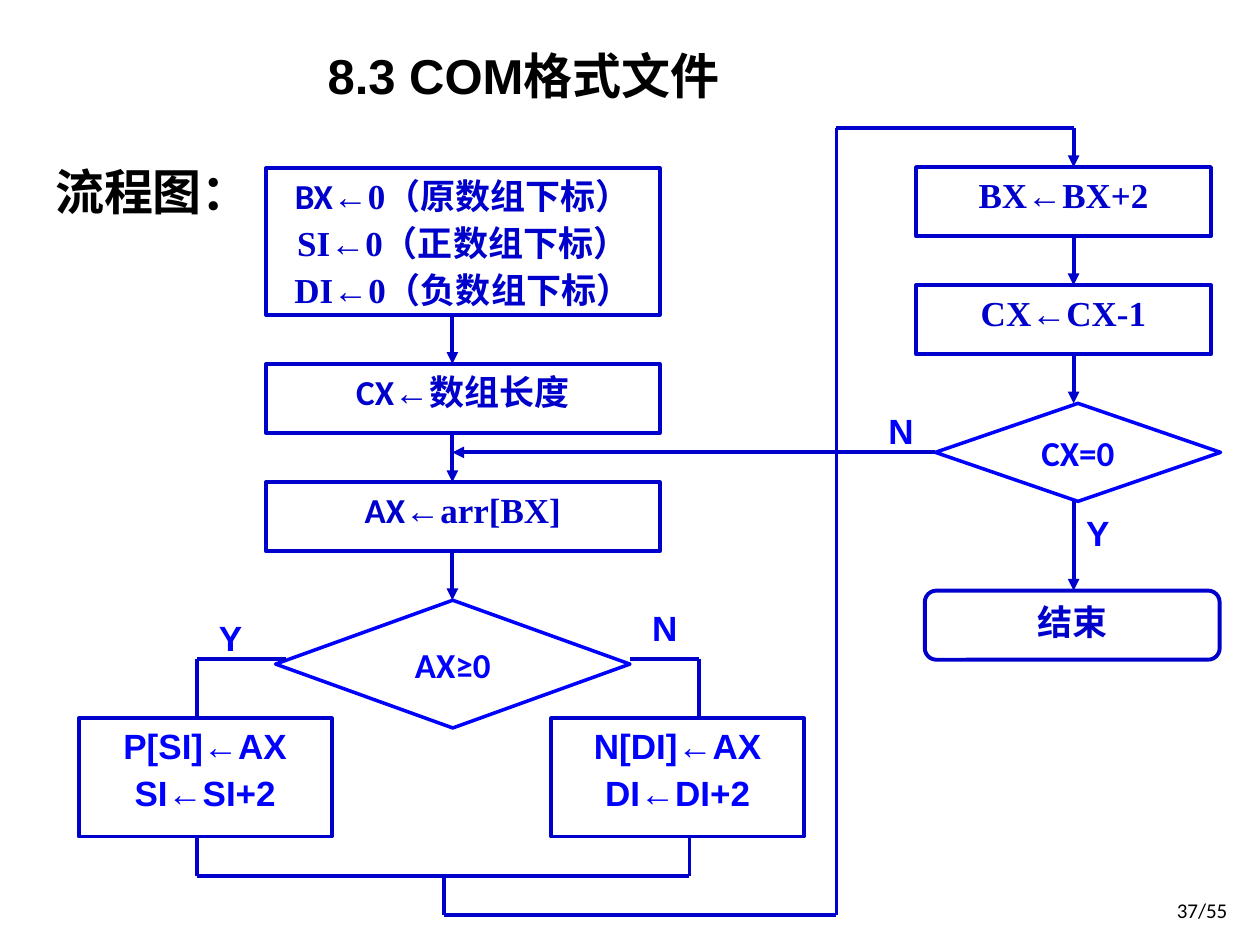
from dataclasses import dataclass
from itertools import pairwise

from lxml.etree import SubElement
from pptx import Presentation
from pptx.dml.color import RGBColor
from pptx.enum.shapes import MSO_CONNECTOR, MSO_SHAPE
from pptx.enum.text import MSO_ANCHOR, PP_ALIGN
from pptx.oxml.ns import qn
from pptx.util import Pt

ARIAL, CALIBRI, TIMES = "Arial", "Calibri", "Times New Roman"
NAVY, BLUE, BLACK, WHITE = "0000CC", "0000FF", "000000", "FFFFFF"

# Flow axes and shared sizes
MAIN_X, RIGHT_X, BUS_X = 258.5, 613.5, 478
YES_X, NO_X, MERGE_X = 112.5, 394, 253.5
BRANCH_Y, BRANCH_BOX_Y, BRANCH_END_Y = 376.5, 410.5, 478
STEP_HEIGHT = 39.5
MAIN_LEFT, MAIN_WIDTH = 152, 225
RIGHT_LEFT, RIGHT_WIDTH = 523.5, 168.5


@dataclass
class Node:
    left: float
    top: float
    width: float
    height: float
    lines: list[list[tuple[str, str]]]
    color: str = NAVY
    space_before: float = 3
    kind: MSO_SHAPE = MSO_SHAPE.RECTANGLE


@dataclass
class Route:
    points: list[tuple[float, float]]
    arrow: bool = False


@dataclass
class Label:
    text: str
    left: float
    top: float


NODES = [
    Node(MAIN_LEFT, 96, MAIN_WIDTH, 84, [
        [("BX", CALIBRI), ("←0（原数组下标）", TIMES)],
        [("SI←0（正数组下标）", TIMES)],
        [("DI←0（负数组下标）", TIMES)]]),
    Node(MAIN_LEFT, 208, MAIN_WIDTH, STEP_HEIGHT,
         [[("CX", CALIBRI), ("←数组长度", TIMES)]], space_before=0),
    Node(MAIN_LEFT, 275.5, MAIN_WIDTH, STEP_HEIGHT,
         [[("AX", CALIBRI), ("←arr[BX]", TIMES)]]),
    Node(157.5, 343, 202.5, 73, [[("AX≥0", CALIBRI)]], BLUE, 0,
         MSO_SHAPE.FLOWCHART_DECISION),
    Node(45, BRANCH_BOX_Y, 144.5, 67.5,
         [[("P[SI]←AX", ARIAL)], [("SI←SI+2", ARIAL)]], BLUE),
    Node(315, BRANCH_BOX_Y, 144.5, 67.5,
         [[("N[DI]←AX", ARIAL)], [("DI←DI+2", ARIAL)]], BLUE),
    Node(RIGHT_LEFT, 95.5, RIGHT_WIDTH, STEP_HEIGHT, [[("BX←BX+2", TIMES)]]),
    Node(RIGHT_LEFT, 163, RIGHT_WIDTH, STEP_HEIGHT, [[("CX←CX-1", TIMES)]]),
    Node(534.5, 230.5, 163, 56, [[("CX=0", CALIBRI)]], BLUE, 0,
         MSO_SHAPE.FLOWCHART_DECISION),
    Node(528.5, 337.5, RIGHT_WIDTH, STEP_HEIGHT, [[("结束", CALIBRI)]],
         space_before=0, kind=MSO_SHAPE.ROUNDED_RECTANGLE),
]

ROUTES = [
    # Main column
    Route([(MAIN_X, 180), (MAIN_X, 208)], True),
    Route([(MAIN_X, 247.5), (MAIN_X, 275.5)], True),
    Route([(MAIN_X, 315), (MAIN_X, 343)], True),
    # Sign test branches and their merge
    Route([(163.5, BRANCH_Y), (YES_X, BRANCH_Y), (YES_X, BRANCH_BOX_Y)]),
    Route([(360, BRANCH_Y), (399.5, BRANCH_Y), (399.5, BRANCH_BOX_Y)]),
    Route([(YES_X, BRANCH_END_Y), (YES_X, 500.5), (NO_X, 500.5), (NO_X, BRANCH_END_Y)]),
    # Bus up to the right column
    Route([(MERGE_X, 500.5), (MERGE_X, 523), (BUS_X, 523), (BUS_X, 73),
           (RIGHT_X, 73), (RIGHT_X, 95.5)], True),
    # Right column and loop back
    Route([(RIGHT_X, 135), (RIGHT_X, 163)], True),
    Route([(RIGHT_X, 202.5), (RIGHT_X, 230.5)], True),
    Route([(RIGHT_X, 286.5), (RIGHT_X, 337.5)], True),
    Route([(534.5, 258.5), (MAIN_X, 258.5)], True),
]

LABELS = [Label("Y", 118, 348.5), Label("N", 365.5, 343),
          Label("N", 500.5, 230.5), Label("Y", RIGHT_X, 288.5)]


def rgb(color: str) -> RGBColor:
    return RGBColor.from_string(color)


def format_run(run, font_name: str, size: float, color: str, bold: bool = True) -> None:
    run.font.name = font_name
    run.font.size = Pt(size)
    run.font.bold = bold
    run.font.color.rgb = rgb(color)


def place(shape, left: float, top: float, width: float, height: float) -> None:
    shape.left, shape.top = Pt(left), Pt(top)
    shape.width, shape.height = Pt(width), Pt(height)


def draw_node(slide, node: Node) -> None:
    shape = slide.shapes.add_shape(node.kind, Pt(node.left), Pt(node.top),
                                   Pt(node.width), Pt(node.height))
    decision = node.kind == MSO_SHAPE.FLOWCHART_DECISION
    shape.shadow.inherit = False
    shape.fill.solid()
    shape.fill.fore_color.rgb = rgb(WHITE)
    shape.line.color.rgb = rgb(node.color if decision else NAVY)
    shape.line.width = Pt(2 if decision else 2.25)
    frame = shape.text_frame
    frame.word_wrap = True
    frame.vertical_anchor = MSO_ANCHOR.MIDDLE if decision else MSO_ANCHOR.TOP
    for index, line in enumerate(node.lines):
        paragraph = frame.add_paragraph() if index else frame.paragraphs[0]
        paragraph.alignment = PP_ALIGN.CENTER
        paragraph.space_before = Pt(node.space_before)
        for text, font_name in line:
            run = paragraph.add_run()
            run.text = text
            format_run(run, font_name, 20, node.color)


def draw_route(slide, route: Route) -> None:
    for start, end in pairwise(route.points):
        connector = slide.shapes.add_connector(
            MSO_CONNECTOR.STRAIGHT, *(Pt(value) for value in start + end))
        connector.line.color.rgb = rgb(NAVY)
        connector.line.width = Pt(2.25)
        properties = connector._element.spPr
        if route.arrow and end == route.points[-1]:
            SubElement(properties.find(qn("a:ln")), qn("a:tailEnd"), type="triangle")
        SubElement(properties, qn("a:effectLst"))


def add_text(slide, text: str, left: float, top: float, width: float, height: float):
    frame = slide.shapes.add_textbox(Pt(left), Pt(top), Pt(width), Pt(height)).text_frame
    frame.word_wrap = True
    frame.text = text
    return frame


def main() -> None:
    presentation = Presentation()
    presentation.slide_width, presentation.slide_height = Pt(720), Pt(540)
    slide = presentation.slides.add_slide(presentation.slide_layouts[1])

    # Title and body heading
    title, body = slide.shapes.title, slide.placeholders[1]
    place(title, 180, 22.5, 248.5, 41)
    place(body, 16.5, 78.5, 686, 427.5)
    for shape, text in ((title, "8.3 COM格式文件"), (body, "流程图：")):
        shape.text_frame.text = text
        paragraph = shape.text_frame.paragraphs[0]
        paragraph.alignment = PP_ALIGN.LEFT
        paragraph.space_before = Pt(0)
        format_run(paragraph.runs[0], ARIAL, 28, BLACK)
    title.text_frame.word_wrap = False
    body.text_frame.margin_left = Pt(15)
    heading = body.text_frame.paragraphs[0]
    heading.line_spacing = 1.3
    heading_properties = heading._p.get_or_add_pPr()
    heading_properties.set("marL", "0")
    heading_properties.set("indent", "0")
    SubElement(heading_properties, qn("a:buNone"))

    # Flowchart
    for node in NODES:
        draw_node(slide, node)
    for route in ROUTES:
        draw_route(slide, route)
    for label in LABELS:
        frame = add_text(slide, label.text, label.left, label.top, 34, 31.5)
        format_run(frame.paragraphs[0].runs[0], ARIAL, 20, BLUE)

    # Page number
    frame = add_text(slide, "37/55", 647.5, 505.5, 61, 29)
    frame.vertical_anchor = MSO_ANCHOR.MIDDLE
    frame.paragraphs[0].alignment = PP_ALIGN.RIGHT
    format_run(frame.paragraphs[0].runs[0], CALIBRI, 12, BLACK, bold=False)

    presentation.save("out.pptx")


if __name__ == "__main__":
    main()
